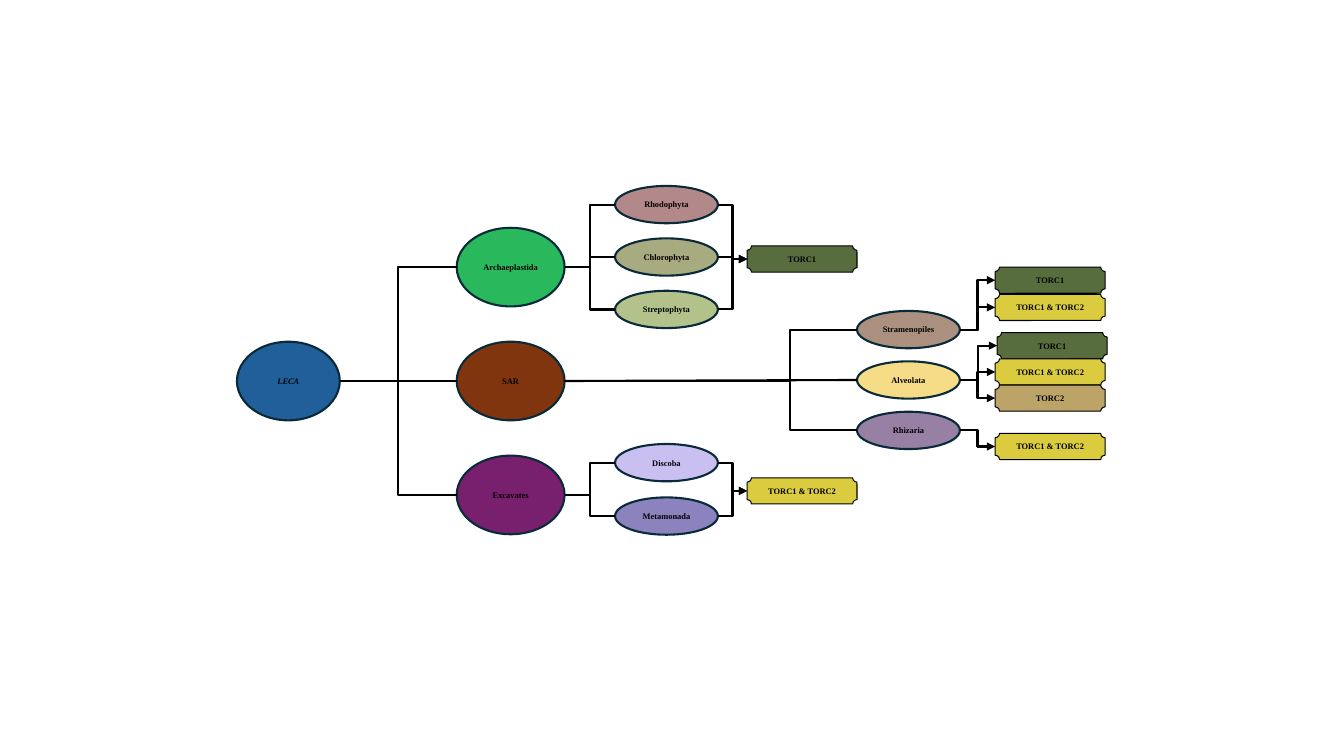
"""Build a slide with the tree of TOR complexes across eukaryotic clades."""
import pptx
import pptx.dml.color
import pptx.enum.shapes
import pptx.enum.text
import pptx.oxml
import pptx.oxml.ns
import pptx.util

Inches, Pt = pptx.util.Inches, pptx.util.Pt
SHAPES = pptx.enum.shapes.MSO_SHAPE
CONNECTORS = pptx.enum.shapes.MSO_CONNECTOR
A_NS = pptx.oxml.ns.nsdecls("a")
TRUNK_BEND = 77000

COLUMNS = {
    "root": (2.35, 1.02, 0.78),
    "supergroup": (4.53, 1.07, 0.78),
    "phylum": (6.1, 1.02, 0.37),
    "SAR phylum": (8.5, 1.02, 0.37),
}
MIDDLE, SUPERGROUP_STEP = 3.78, 1.13

CLADES = {
    "LECA": ("root", MIDDLE, "215F9A", None),
    "Archaeplastida": ("supergroup", MIDDLE - SUPERGROUP_STEP, "29B95C", "LECA"),
    "SAR": ("supergroup", MIDDLE, "80350E", "LECA"),
    "Excavates": ("supergroup", MIDDLE + SUPERGROUP_STEP, "78206E", "LECA"),
    "Rhodophyta": ("phylum", 2.03, "B38889", "Archaeplastida"),
    "Chlorophyta": ("phylum", 2.55, "A8AA80", "Archaeplastida"),
    "Streptophyta": ("phylum", 3.07, "B3C28A", "Archaeplastida"),
    "Stramenopiles": ("SAR phylum", 3.27, "AB9080", "SAR"),
    "Alveolata": ("SAR phylum", 3.77, "F7DC88", "SAR"),
    "Rhizaria": ("SAR phylum", 4.27, "9780A3", "SAR"),
    "Discoba": ("phylum", 4.59, "C9C0F1", "Excavates"),
    "Metamonada": ("phylum", 5.12, "8B82BE", "Excavates"),
}

COMPLEX_COLORS = {"TORC1": "586D3D", "TORC1 & TORC2": "DACC3E", "TORC2": "BCA469"}
COMPLEX_WIDTH, COMPLEX_HEIGHT = 1.09, 0.26
COMPLEXES = [
    ("TORC1", 7.41, 2.57, ["Rhodophyta", "Chlorophyta", "Streptophyta"]),
    ("TORC1 & TORC2", 7.41, 4.87, ["Discoba", "Metamonada"]),
    ("TORC1", 9.87, 2.78, ["Stramenopiles"]),
    ("TORC1 & TORC2", 9.87, 3.05, ["Stramenopiles"]),
    ("TORC1", 9.89, 3.43, ["Alveolata"]),
    ("TORC1 & TORC2", 9.87, 3.69, ["Alveolata"]),
    ("TORC2", 9.87, 3.95, ["Alveolata"]),
    ("TORC1 & TORC2", 9.87, 4.43, ["Rhizaria"]),
]


def rgb(color):
    return pptx.dml.color.RGBColor.from_string(color)


def add_node(kind, label, left, middle, width, height, fill, outline, weight):
    node = slide.shapes.add_shape(
        kind, Inches(left), Inches(middle - height / 2), Inches(width), Inches(height))
    node.shadow.inherit = False
    node.fill.solid()
    node.fill.fore_color.rgb = rgb(fill)
    node.line.color.rgb = rgb(outline)
    node.line.width = Pt(weight)
    frame = node.text_frame
    frame.margin_left = frame.margin_right = frame.margin_top = frame.margin_bottom = 0
    frame.vertical_anchor = pptx.enum.text.MSO_ANCHOR.MIDDLE
    frame.text = label
    frame.paragraphs[0].alignment = pptx.enum.text.PP_ALIGN.CENTER
    font = frame.paragraphs[0].runs[0].font
    font.name, font.size, font.bold = "Times New Roman", Pt(6), True
    font.color.rgb = rgb("000000")
    font.italic = True if label == "LECA" else None


deck = pptx.Presentation()
deck.slide_width, deck.slide_height = Inches(13.33), Inches(7.5)
slide = deck.slides.add_slide(deck.slide_layouts[6])

branches = []
for clade, (column, middle, fill, parent) in CLADES.items():
    left, width, height = COLUMNS[column]
    add_node(SHAPES.OVAL, clade, left, middle, width, height, fill, "092A39", 1.5)
    if parent:
        branches.append((parent, left, middle, False))

for label, left, middle, sources in COMPLEXES:
    add_node(SHAPES.PLAQUE, label, left, middle, COMPLEX_WIDTH, COMPLEX_HEIGHT,
             COMPLEX_COLORS[label], "000000", 0.75)
    branches += [(source, left, middle, True) for source in sources]

for source, end_x, end_y, has_arrow in branches:
    column, start_y = CLADES[source][:2]
    start_x = COLUMNS[column][0] + COLUMNS[column][1]
    is_level = abs(end_y - start_y) < 0.015
    branch = slide.shapes.add_connector(
        CONNECTORS.STRAIGHT if is_level else CONNECTORS.ELBOW,
        Inches(start_x), Inches(start_y), Inches(end_x), Inches(end_y))
    branch.line.color.rgb = rgb("000000")
    branch.line.width = Pt(1.5)
    properties = branch.element.spPr
    if has_arrow:
        properties.find(pptx.oxml.ns.qn("a:ln")).append(
            pptx.oxml.parse_xml(f'<a:tailEnd {A_NS} type="triangle"/>'))
    if source == "SAR" and not is_level:
        properties.find(".//" + pptx.oxml.ns.qn("a:avLst")).append(
            pptx.oxml.parse_xml(f'<a:gd {A_NS} name="adj1" fmla="val {TRUNK_BEND}"/>'))
    properties.append(pptx.oxml.parse_xml(f"<a:effectLst {A_NS}/>"))

deck.save("out.pptx")
